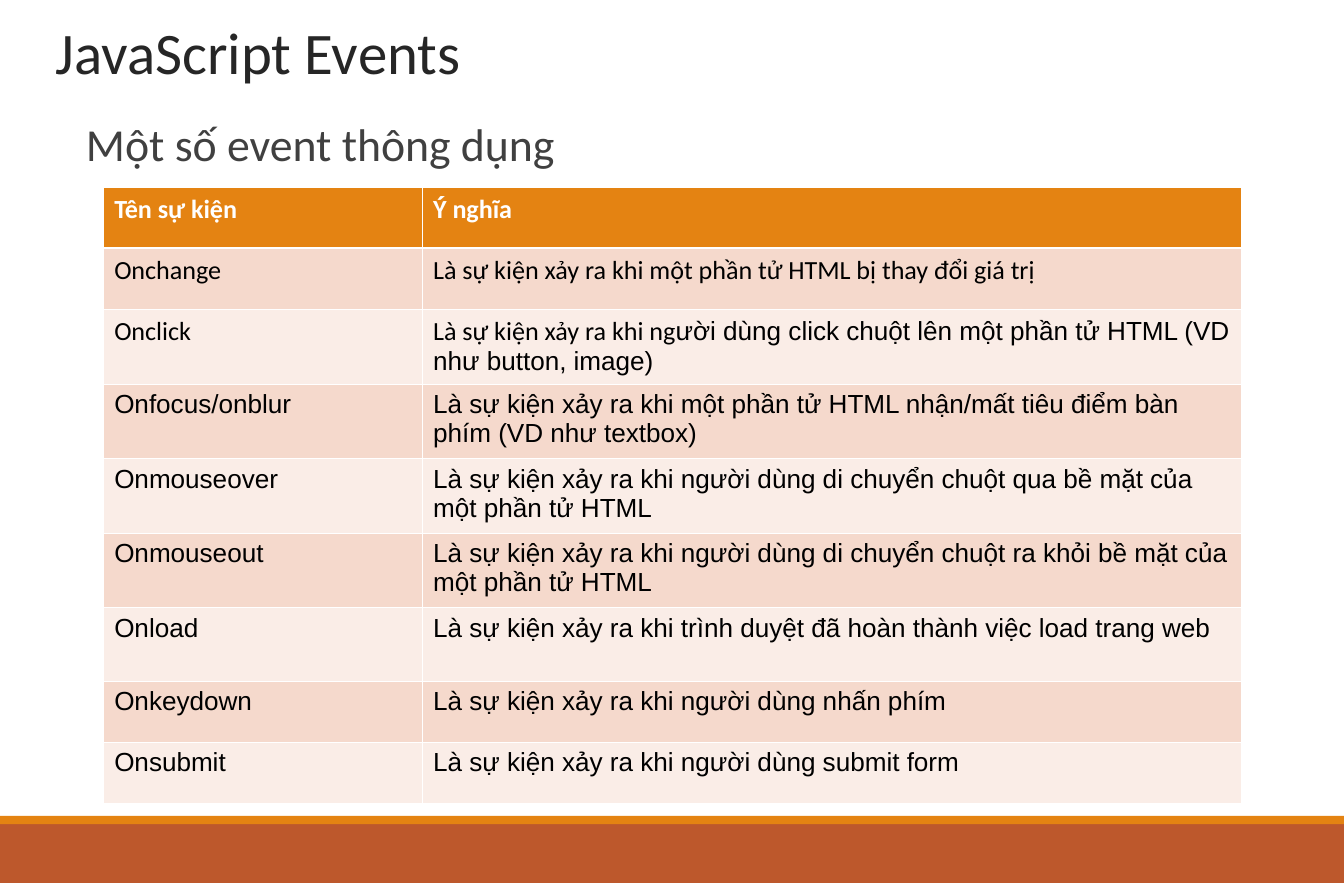
import pptx
import pptx.dml.color
import pptx.enum.shapes
import pptx.enum.text
import pptx.oxml
import pptx.oxml.ns
import pptx.util

Pt = pptx.util.Pt
WIDTH, HEIGHT = 822.24, 540
ORANGE, RUST, WHITE, BLACK = "E48312", "BD582C", "FFFFFF", "000000"
BANDS = ["F5D9CC", "FAEDE7"]
SHORT_ROW, TALL_ROW = 37.4, 44.8

# Each row: height, event name, its font, pieces of the meaning with their fonts
EVENTS = [
    (SHORT_ROW, "Onchange", "Calibri",
     [("Là sự kiện xảy ra khi một phần tử HTML bị thay đổi giá trị", "Calibri")]),
    (TALL_ROW, "Onclick", "Calibri",
     [("Là sự kiện xảy ra khi ng", "Calibri"),
      ("ười dùng click chuột lên một phần tử HTML (VD như button, image)", "Arial")]),
    (TALL_ROW, "Onfocus/onblur", "Arial",
     [("Là sự kiện xảy ra khi một phần tử HTML nhận/mất tiêu điểm bàn phím "
       "(VD như textbox)", "Arial")]),
    (TALL_ROW, "Onmouseover", "Arial",
     [("Là sự kiện xảy ra khi người dùng di chuyển chuột qua bề mặt của "
       "một phần tử HTML", "Arial")]),
    (TALL_ROW, "Onmouseout", "Arial",
     [("Là sự kiện xảy ra khi người dùng di chuyển chuột ra khỏi bề mặt của "
       "một phần tử HTML", "Arial")]),
    (TALL_ROW, "Onload", "Arial",
     [("Là sự kiện xảy ra khi trình duyệt đã hoàn thành việc load trang web", "Arial")]),
    (SHORT_ROW, "Onkeydown", "Arial",
     [("Là sự kiện xảy ra khi người dùng nhấn phím", "Arial")]),
    (SHORT_ROW, "Onsubmit", "Arial",
     [("Là sự kiện xảy ra khi người dùng submit form", "Arial")]),
]


def rgb(value):
    return pptx.dml.color.RGBColor.from_string(value)


def style_font(font, name, size, color, bold=False):
    font.name = name
    font.size = Pt(size)
    font.bold = bold
    font.color.rgb = rgb(color)


def set_insets(frame, side, end):
    frame.margin_left = frame.margin_right = Pt(side)
    frame.margin_top = frame.margin_bottom = Pt(end)
    frame.word_wrap = True
    frame.vertical_anchor = pptx.enum.text.MSO_ANCHOR.TOP


def add_band(slide, top, height, color):
    band = slide.shapes.add_shape(pptx.enum.shapes.MSO_SHAPE.RECTANGLE,
                                  0, Pt(top), Pt(WIDTH), Pt(height))
    band.shadow.inherit = False
    band.fill.solid()
    band.fill.fore_color.rgb = rgb(color)
    band.line.fill.background()


def set_title(slide, text):
    title = slide.shapes.title
    title.left, title.top, title.width, title.height = Pt(27.4), Pt(6.5), Pt(503), Pt(64.8)
    frame = title.text_frame
    set_insets(frame, 6.5, 3.2)
    frame.auto_size = pptx.enum.text.MSO_AUTO_SIZE.NONE
    frame.text = text
    heading = frame.paragraphs[0]
    heading.alignment = pptx.enum.text.PP_ALIGN.LEFT
    style_font(heading.font, "Calibri", 36, "262626")


def add_subtitle(slide, text):
    box = slide.shapes.add_textbox(Pt(52.6), Pt(71.3), Pt(614), Pt(40))
    set_insets(box.text_frame, 0, 3.6)
    subtitle = box.text_frame.paragraphs[0]
    subtitle.text = text
    subtitle.line_spacing = 0.9
    style_font(subtitle.font, "Calibri", 28, "404040")


def set_borders(cell, widths):
    properties = cell._tc.get_or_add_tcPr()
    for position, (side, width) in enumerate(widths.items()):
        properties.insert(position, pptx.oxml.parse_xml(
            f'<a:{side} {pptx.oxml.ns.nsdecls("a")} w="{Pt(width)}"><a:solidFill>'
            f'<a:srgbClr val="{WHITE}"/></a:solidFill></a:{side}>'))


def fill_cell(cell, pieces, fill, color, bold, top_border, bottom_border):
    cell.fill.solid()
    cell.fill.fore_color.rgb = rgb(fill)
    cell.margin_left = cell.margin_right = Pt(6.5)
    cell.margin_top = cell.margin_bottom = Pt(3.6)
    paragraph = cell.text_frame.paragraphs[0]
    style_font(paragraph.font, pieces[0][1], 16, color, bold)
    for text, font_name in pieces:
        run = paragraph.add_run()
        run.text = text
        style_font(run.font, font_name, 16, color, bold)
    set_borders(cell, {"lnL": 0.45, "lnR": 0.45, "lnT": top_border, "lnB": bottom_border})


def add_events_table(slide):
    header = (SHORT_ROW, "Tên sự kiện", "Calibri", [("Ý nghĩa", "Calibri")])
    rows = [header] + EVENTS
    widths = [195.1, 501.1]
    table = slide.shapes.add_table(len(rows), len(widths), Pt(63.4), Pt(114.5),
                                   Pt(sum(widths)), Pt(sum(row[0] for row in rows))).table
    for column, width in zip(table.columns, widths):
        column.width = Pt(width)
    for index, (height, name, name_font, meaning) in enumerate(rows):
        table.rows[index].height = Pt(height)
        is_header = index == 0
        fill = ORANGE if is_header else BANDS[(index - 1) % 2]
        color = WHITE if is_header else BLACK
        top_border = 1.47 if index == 1 else 0.45
        bottom_border = 1.47 if is_header else 0.45
        for column, pieces in enumerate([[(name, name_font)], meaning]):
            fill_cell(table.cell(index, column), pieces, fill, color, is_header,
                      top_border, bottom_border)


def main():
    presentation = pptx.Presentation()
    presentation.slide_width, presentation.slide_height = Pt(WIDTH), Pt(HEIGHT)
    slide = presentation.slides.add_slide(presentation.slide_layouts[5])

    # Footer bands
    add_band(slide, 504, 36, RUST)
    add_band(slide, 499, 5, ORANGE)

    # Headings
    set_title(slide, "JavaScript Events")
    add_subtitle(slide, "Một số event thông dụng")

    # Event names and their meanings
    add_events_table(slide)

    presentation.save("out.pptx")


if __name__ == "__main__":
    main()
